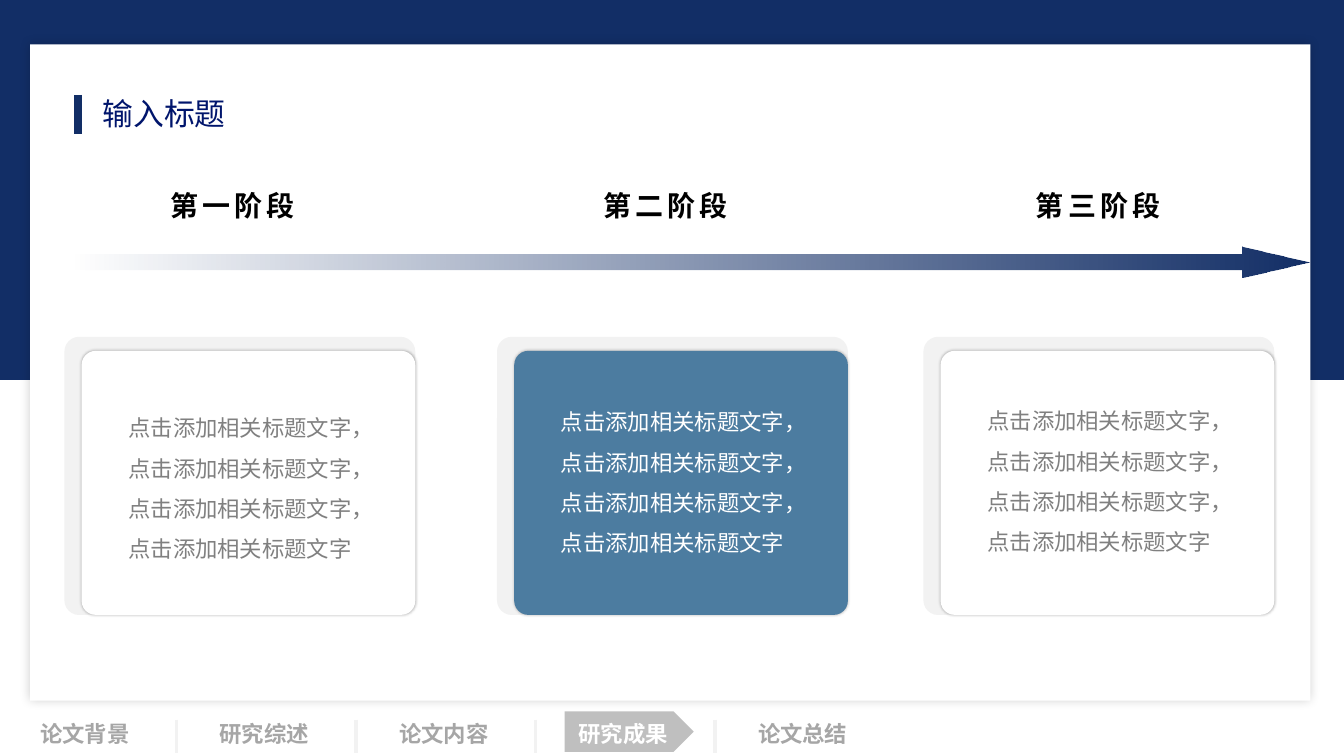
import pptx
import pptx.util
import pptx.dml.color
import pptx.enum.shapes
import pptx.enum.text
import pptx.oxml.ns
import lxml.etree

Pt = pptx.util.Pt
KIND = pptx.enum.shapes.MSO_SHAPE
AUTO = pptx.enum.text.MSO_AUTO_SIZE
qn = pptx.oxml.ns.qn
SANS = "Noto Sans CJK SC"
NAVY, LIGHT, GRAY = "122E66", "F2F2F2", "A6A6A6"

deck = pptx.Presentation()
deck.slide_width, deck.slide_height = Pt(960), Pt(540)
page = deck.slides.add_slide(deck.slide_layouts[6])


def color(value):
    return pptx.dml.color.RGBColor.from_string(value)


def add_block(kind, left, top, width, height, fill, shadow=None):
    """Add a borderless shape; shadow is (opacity in percent, blur in points)."""
    block = page.shapes.add_shape(kind, Pt(left), Pt(top), Pt(width), Pt(height))
    block.fill.solid()
    block.fill.fore_color.rgb = color(fill)
    block.line.fill.background()
    block.shadow.inherit = False
    if shadow:
        opacity, blur = shadow
        effects = block._element.spPr.find(qn("a:effectLst"))
        outer = lxml.etree.SubElement(effects, qn("a:outerShdw"), blurRad=str(Pt(blur)),
                                      dist="0", dir="0", algn="ctr", rotWithShape="0")
        tint = lxml.etree.SubElement(outer, qn("a:srgbClr"), val="000000")
        lxml.etree.SubElement(tint, qn("a:alpha"), val=str(opacity * 1000))
    return block


# Background band and white panel
add_block(KIND.RECTANGLE, 0, 0, 960, 271.4, NAVY)
add_block(KIND.RECTANGLE, 21.6, 31.7, 914.4, 468.7, "FFFFFF", (20, 8))

# Timeline arrow, fading out to the left
arrow = add_block(KIND.RIGHT_ARROW, 49, 176.4, 886.6, 21.9, NAVY)
arrow.adjustments[0], arrow.adjustments[1] = 0.5, 2.22
arrow.fill.gradient()
arrow.fill.gradient_angle = 180
for stop, position in zip(arrow.fill.gradient_stops, (0, 1)):
    stop.color.rgb = color(NAVY)
    stop.position = position
tail = arrow.fill.gradient_stops[1]._gs.find(qn("a:srgbClr"))
lxml.etree.SubElement(tail, qn("a:alpha"), val="0")

# Text labels: text, left, top, width, height, size, font, color, bold, wrap
labels = [("输入标题", 66.2, 64.1, 290.9, 33.8, 22, SANS, "00156C", False, True)]
for i, stage in enumerate(("第一阶段", "第二阶段", "第三阶段")):
    labels.append((stage, 114.5 + 309.2 * i, 131, 107.3, 31.7, 20, "Arial", "000000", True, False))

# Cards
phrase = "点击添加相关标题文字"
cards = [
    (46, 283, "FFFFFF", "808080"),
    (355, 278.6, "4C7CA0", "FFFFFF"),
    (659.6, 278, "FFFFFF", "808080"),
]
for left, text_top, fill, ink in cards:
    back = add_block(KIND.ROUNDED_RECTANGLE, left, 240.6, 250.6, 198.7, LIGHT)
    front = add_block(KIND.ROUNDED_RECTANGLE, left + 12.3, 250.6, 238.3, 188.6, fill, (26, 2))
    back.adjustments[0] = front.adjustments[0] = 0.053
    labels.append(("，".join([phrase] * 4), left + 38.6, text_top, 185.8, 120.2,
                   16, SANS, ink, False, True))

# Bottom navigation
current = "研究成果"
chapters = ("论文背景", "研究综述", "论文内容", current, "论文总结")
add_block(KIND.PENTAGON, 403.3, 508.2, 92.2, 28.8, "BFBFBF")
for i, chapter in enumerate(chapters):
    ink = "FFFFFF" if chapter == current else GRAY
    labels.append((chapter, 21.6 + 128.2 * i, 511.2, 80.6, 26.6, 16, SANS, ink, True, False))

for text, left, top, width, height, size, font, ink, bold, wrap in labels:
    box = page.shapes.add_textbox(Pt(left), Pt(top), Pt(width), Pt(height))
    box.text_frame.word_wrap = wrap
    box.text_frame.auto_size = AUTO.SHAPE_TO_FIT_TEXT
    para = box.text_frame.paragraphs[0]
    if text.startswith(phrase):
        para.line_spacing = 1.5
    span = para.add_run()
    span.text = text
    span.font.size = Pt(size)
    span.font.bold = bold
    span.font.name = font
    span.font.color.rgb = color(ink)
    properties = span.font._element
    lxml.etree.SubElement(properties, qn("a:ea"), typeface=font)
    if font == "Arial":
        properties.set("spc", "300")

# Title bar and navigation separators: x, top, bottom, color, width
rules = [(55.7, 67.7, 95.8, NAVY, 6.25)]
rules += [(126 + 128.2 * i, 514.1, 537.8, LIGHT, 2.5) for i in range(len(chapters) - 1)]
for x, top, bottom, ink, weight in rules:
    rule = page.shapes.add_connector(pptx.enum.shapes.MSO_CONNECTOR.STRAIGHT,
                                     Pt(x), Pt(top), Pt(x), Pt(bottom))
    rule.line.color.rgb = color(ink)
    rule.line.width = Pt(weight)
    lxml.etree.SubElement(rule._element.spPr, qn("a:effectLst"))

deck.save("out.pptx")
